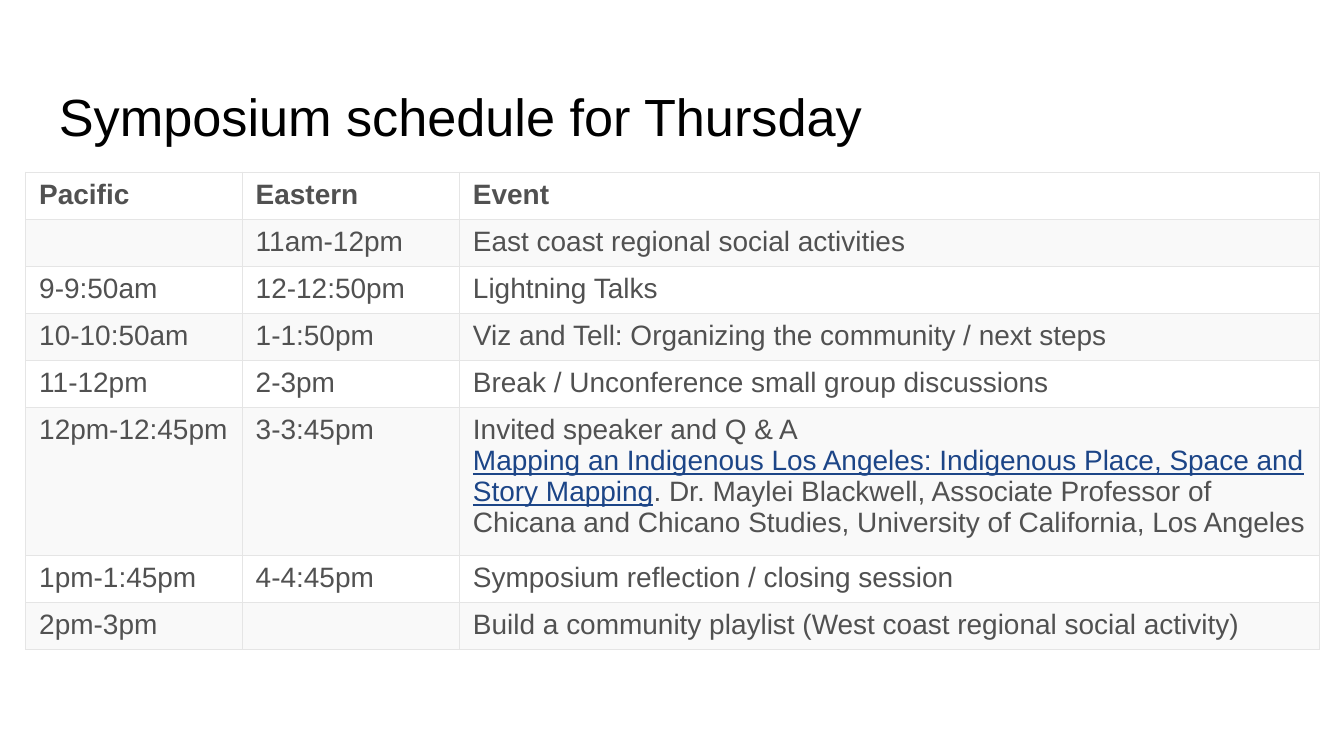
from lxml.etree import SubElement
from pptx import Presentation
from pptx.dml.color import RGBColor
from pptx.enum.text import MSO_ANCHOR
from pptx.oxml.ns import qn
from pptx.util import Pt

# Content: a cell is a string, or a list of paragraphs made of (text, style) runs
TITLE = "Symposium schedule for Thursday"
SPEAKER = [
    [("Invited speaker and Q & A", "body")],
    [("Mapping an Indigenous Los Angeles: Indigenous Place, Space and Story Mapping", "talk"),
     (". Dr. Maylei Blackwell, Associate Professor of Chicana and Chicano Studies, "
      "University of California, Los Angeles", "body")],
]
SCHEDULE = [
    ("Pacific", "Eastern", "Event"),
    ("", "11am-12pm", "East coast regional social activities"),
    ("9-9:50am", "12-12:50pm", "Lightning Talks"),
    ("10-10:50am", "1-1:50pm", "Viz and Tell: Organizing the community / next steps"),
    ("11-12pm", "2-3pm", "Break / Unconference small group discussions"),
    ("12pm-12:45pm", "3-3:45pm", SPEAKER),
    ("1pm-1:45pm", "4-4:45pm", "Symposium reflection / closing session"),
    ("2pm-3pm", "", "Build a community playlist (West coast regional social activity)"),
]

# Layout in points
COL_WIDTHS = [116, 116.4, 460.8]
HEADER_H, ROW_H, SPEAKER_H = 25.2, 23.8, 73.8
TABLE_LEFT, TABLE_TOP = 13.8, 92.2
CELL_SIZE = 15

# Colours and text styles
BLACK = RGBColor(0x00, 0x00, 0x00)
GREY = RGBColor(0x51, 0x51, 0x51)
BLUE = RGBColor(0x1C, 0x45, 0x87)
WHITE = RGBColor(0xFF, 0xFF, 0xFF)
BAND = RGBColor(0xF9, 0xF9, 0xF9)
BORDER = RGBColor(0xE5, 0xE5, 0xE5)
STYLES = {
    "title": (BLACK, dict(size=Pt(28))),
    "head": (GREY, dict(size=Pt(CELL_SIZE), bold=True)),
    "body": (GREY, dict(size=Pt(CELL_SIZE), bold=False)),
    "talk": (BLUE, dict(size=Pt(CELL_SIZE), bold=False, underline=True)),
}


def add_run(p, text, style):
    color, values = STYLES[style]
    r = p.add_run()
    r.text = text
    r.font.name = "Arial"
    r.font.color.rgb = color
    for name, value in values.items():
        setattr(r.font, name, value)


def fill_cell(cell, content, style):
    if not content:  # keeps an empty cell at the table's text size
        end = SubElement(cell.text_frame.paragraphs[0]._p, qn("a:endParaRPr"))
        end.set("sz", str(CELL_SIZE * 100))
        return
    paragraphs = [[(content, style)]] if isinstance(content, str) else content
    tf = cell.text_frame
    for i, runs in enumerate(paragraphs):
        p = tf.add_paragraph() if i else tf.paragraphs[0]
        for text, run_style in runs:
            add_run(p, text, run_style)


def set_borders(cell):
    props = cell._tc.get_or_add_tcPr()
    for i, side in enumerate(("a:lnL", "a:lnR", "a:lnT", "a:lnB")):
        ln = props.makeelement(qn(side), {"w": str(Pt(0.75))})
        fill = SubElement(ln, qn("a:solidFill"))
        SubElement(fill, qn("a:srgbClr")).set("val", str(BORDER))
        props.insert(i, ln)


prs = Presentation()
prs.slide_width, prs.slide_height = Pt(720), Pt(405)
s = prs.slides.add_slide(prs.slide_layouts[6])

# Title
sp = s.shapes.add_textbox(Pt(24.5), Pt(35.3), Pt(671), Pt(45.4))
tf = sp.text_frame
tf.word_wrap = True
tf.vertical_anchor = MSO_ANCHOR.TOP
tf.margin_left = tf.margin_right = Pt(7.2)
tf.margin_top, tf.margin_bottom = Pt(10), Pt(4)
add_run(tf.paragraphs[0], TITLE, "title")

# Schedule table
heights = [HEADER_H] + [SPEAKER_H if row[2] is SPEAKER else ROW_H for row in SCHEDULE[1:]]
table = s.shapes.add_table(len(SCHEDULE), len(COL_WIDTHS), Pt(TABLE_LEFT), Pt(TABLE_TOP),
                           Pt(sum(COL_WIDTHS)), Pt(sum(heights))).table
for column, width in zip(table.columns, COL_WIDTHS):
    column.width = Pt(width)
for i, (row, height) in enumerate(zip(SCHEDULE, heights)):
    table.rows[i].height = Pt(height)
    for j, content in enumerate(row):
        cell = table.cell(i, j)
        cell.margin_left = cell.margin_right = Pt(7.2)
        cell.margin_top = cell.margin_bottom = Pt(3.6)
        cell.fill.solid()
        cell.fill.fore_color.rgb = BAND if i % 2 else WHITE
        fill_cell(cell, content, "body" if i else "head")
        set_borders(cell)

prs.save("out.pptx")
